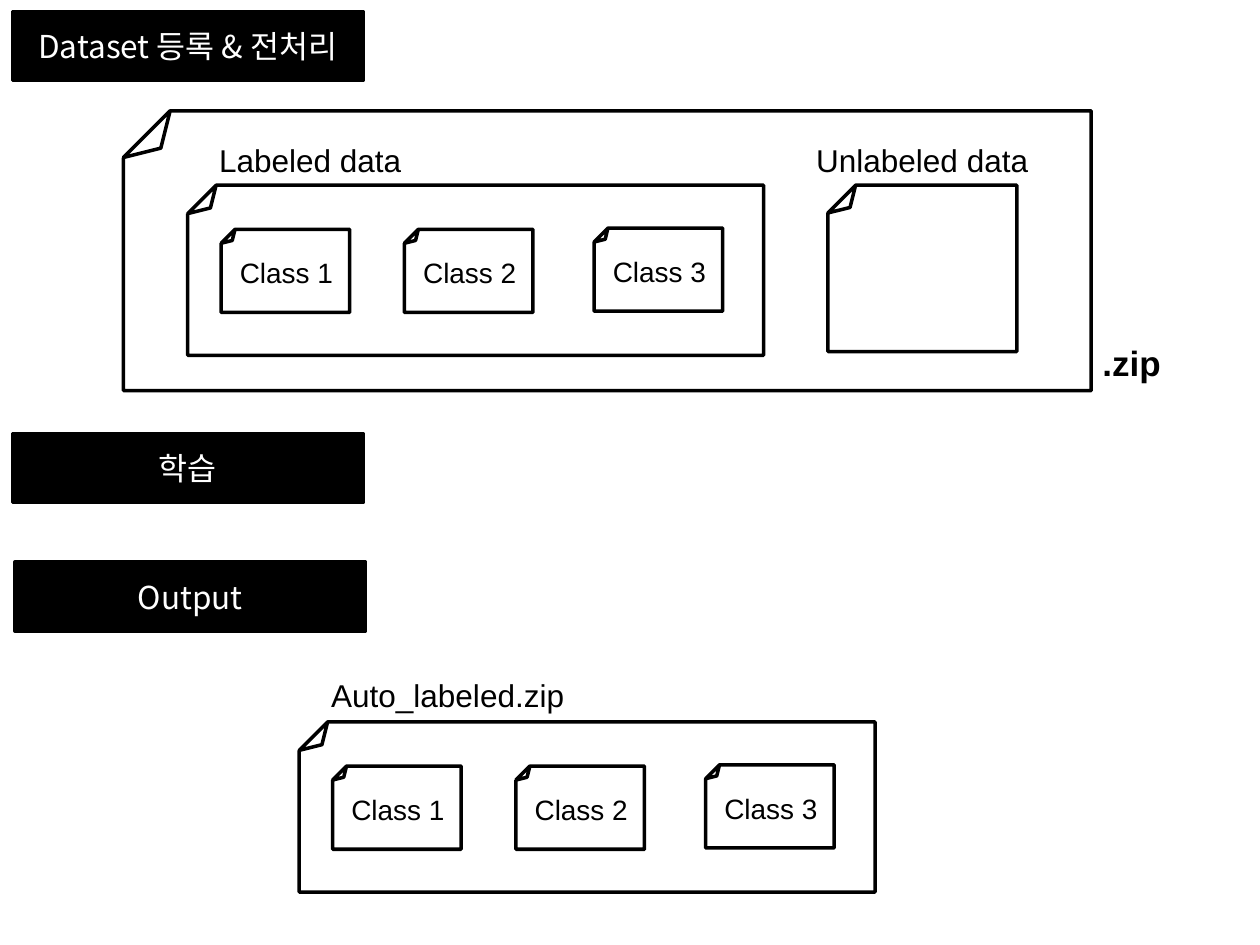
from lxml import etree
from pptx import Presentation
from pptx.dml.color import RGBColor
from pptx.enum.shapes import MSO_SHAPE
from pptx.enum.text import MSO_ANCHOR, MSO_AUTO_SIZE, PP_ALIGN
from pptx.oxml.ns import qn
from pptx.util import Inches, Pt

RECTANGLE = MSO_SHAPE.RECTANGLE
FOLDED_CORNER = MSO_SHAPE.FOLDED_CORNER
MIDDLE = MSO_ANCHOR.MIDDLE
CENTER = PP_ALIGN.CENTER
FIT_SHAPE = MSO_AUTO_SIZE.SHAPE_TO_FIT_TEXT

# The slide is a grid of 100 columns and 75 rows of square cells.
COLUMNS, ROWS = 100, 75
CELL = Inches(0.1)
BLACK, WHITE = "000000", "FFFFFF"
LATIN_FONT, KOREAN_FONT = "Arial", "Noto Sans CJK KR"
BLANK_LAYOUT = 6

# Class name, column and row from the corner of the folder that holds it.
CLASSES = [("Class 1", 2.65, 3.5), ("Class 2", 17.2, 3.5), ("Class 3", 32.25, 3.4)]
FOLDER_SIZE = (45.7, 13.5)
CLASS_SIZE = (10.2, 6.6)
BANNERS = [
    ("Dataset 등록 & 전처리", 1, 0.9),
    ("학습", 1, 34.4),
    ("Output", 1.2, 44.6),
]


def color(hex_string):
    return RGBColor.from_string(hex_string)


def grid(*cells):
    """Turn counts of grid cells into lengths."""
    return [round(count * CELL) for count in cells]


def format_text(text_frame, text, size, font_name, hex_string, bold=False):
    text_frame.text = text
    run = text_frame.paragraphs[0].runs[0]
    run.font.size = Pt(size)
    run.font.name = font_name
    run.font.bold = bold
    run.font.color.rgb = color(hex_string)
    east_asian = etree.Element(qn("a:ea"), typeface=font_name)
    run.font._element.find(qn("a:latin")).addnext(east_asian)


def add_outlined_shape(shapes, kind, left, top, width, height):
    shape = shapes.add_shape(kind, *grid(left, top, width, height))
    shape.shadow.inherit = False
    shape.fill.background()
    shape.line.color.rgb = color(BLACK)
    shape.line.width = Pt(2)
    return shape


def add_page(shapes, left, top, width, height):
    """Add a page whose folded corner is at the top left."""
    page = add_outlined_shape(shapes, FOLDED_CORNER, left, top, width, height)
    page.rotation = 180


def add_label(shapes, text, left, top, width, height, size=18, bold=False):
    label = shapes.add_textbox(*grid(left, top, width, height))
    label.text_frame.word_wrap = True
    label.text_frame.auto_size = FIT_SHAPE
    format_text(label.text_frame, text, size, LATIN_FONT, BLACK, bold)


def add_class_folder(shapes, left, top):
    """Add a large page that holds one small page for each class."""
    add_page(shapes, left, top, *FOLDER_SIZE)
    for name, column, row in CLASSES:
        add_page(shapes, left + column, top + row, *CLASS_SIZE)
        add_label(shapes, name, left + column + 0.5, top + row + 1.6, 11.8, 3.7, size=16)


def add_banner(shapes, text, left, top):
    banner = add_outlined_shape(shapes, RECTANGLE, left, top, 27.8, 5.5)
    banner.fill.solid()
    banner.fill.fore_color.rgb = color(BLACK)
    format_text(banner.text_frame, text, 18, KOREAN_FONT, WHITE)
    banner.text_frame.vertical_anchor = MIDDLE
    banner.text_frame.paragraphs[0].alignment = CENTER


def add_dataset(slide):
    shapes = slide.shapes.add_group_shape().shapes
    add_class_folder(shapes, 14.9, 14.7)
    add_label(shapes, "Labeled data", 16.4, 10.7, 19.3, 4)
    add_page(shapes, 65.7, 14.7, 15, 13.2)
    add_label(shapes, "Unlabeled data", 63.8, 10.7, 19.3, 4)
    add_page(shapes, 9.8, 8.8, 76.8, 22.2)
    add_label(shapes, ".zip", 86.5, 26.6, 7.9, 4.4, size=20, bold=True)


def add_output(slide):
    shapes = slide.shapes.add_group_shape().shapes
    add_class_folder(shapes, 23.75, 57.3)
    add_label(shapes, "Auto_labeled.zip", 25.3, 53.2, 24.9, 4)


def main():
    presentation = Presentation()
    presentation.slide_width, presentation.slide_height = grid(COLUMNS, ROWS)
    slide = presentation.slides.add_slide(presentation.slide_layouts[BLANK_LAYOUT])
    add_dataset(slide)
    for text, left, top in BANNERS:
        add_banner(slide.shapes, text, left, top)
    add_output(slide)
    presentation.save("out.pptx")


if __name__ == "__main__":
    main()
